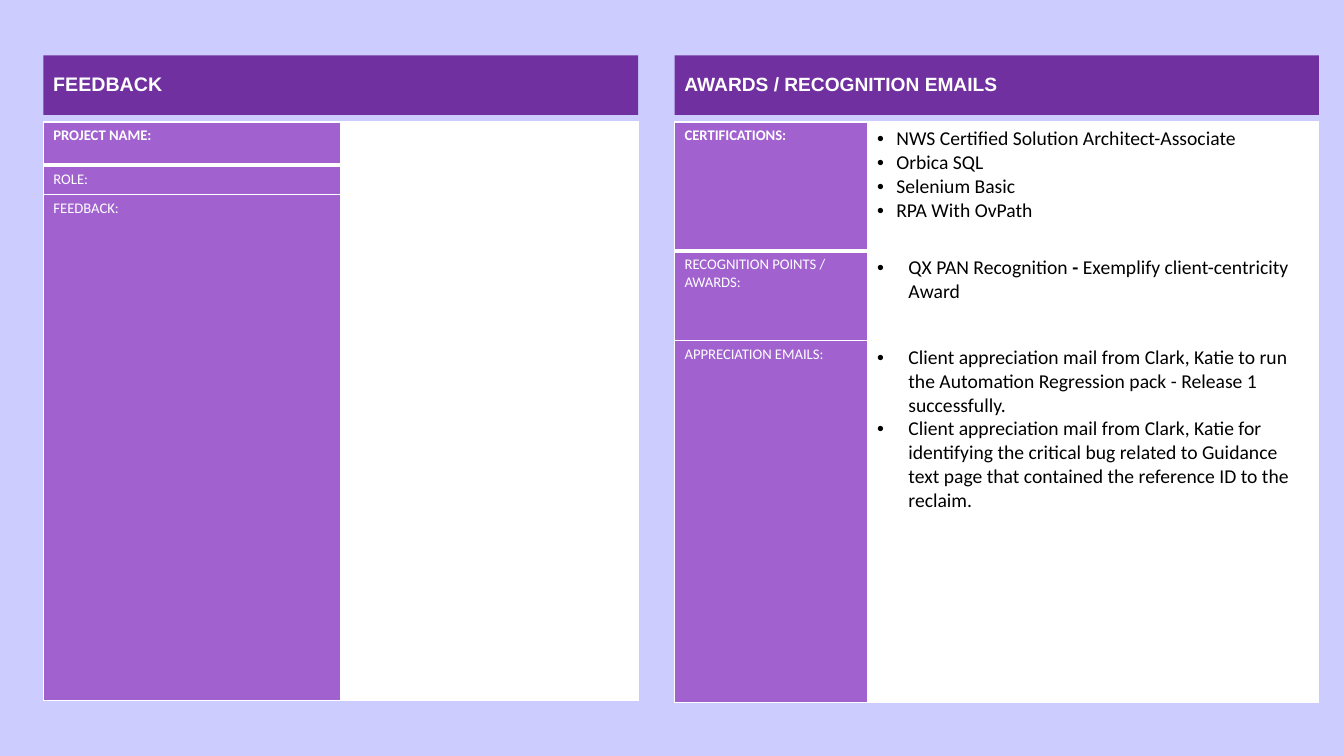
from lxml.etree import SubElement
from pptx import Presentation
from pptx.dml.color import RGBColor
from pptx.enum.shapes import MSO_SHAPE
from pptx.enum.text import MSO_ANCHOR, PP_ALIGN
from pptx.oxml.ns import qn
from pptx.util import Inches, Pt

PURPLE, VIOLET, LILAC = "7030A0", "A162D0", "CCCCFF"
WHITE, BLACK = "FFFFFF", "000000"


def paint(target, color):
    target.solid()
    target.fore_color.rgb = RGBColor.from_string(color)


def add_span(para, text, font, size, color, bold):
    span = para.add_run()
    span.text = text
    span.font.name = font
    span.font.size = Pt(size)
    span.font.bold = bold
    paint(span.font.fill, color)


panels = [
    {
        "title": "FEEDBACK", "title_size": 14, "left": 0.43,
        "columns": [2.95, 2.95],
        "rows": [
            (0.43, "PROJECT NAME:", 0, []),
            (0.29, "ROLE:", 0, []),
            (5.02, "FEEDBACK:", 0, []),
        ],
    },
    {
        "title": "AWARDS / RECOGNITION EMAILS", "title_size": 13.7, "left": 6.69,
        "columns": [1.91, 4.48],
        "rows": [
            (1.28, "CERTIFICATIONS:", 0.19, [
                [("NWS Certified Solution Architect-Associate", False)],
                [("Orbica SQL", False)],
                [("Selenium Basic", False)],
                [("RPA With OvPath", False)],
            ]),
            (0.89, "RECOGNITION POINTS / AWARDS:", 0.31, [
                [("QX PAN Recognition ", False), ("- ", True),
                 ("Exemplify client-centricity Award", False)],
            ]),
            (3.59, "APPRECIATION EMAILS:", 0.31, [
                [("Client appreciation mail from Clark, Katie to run the Automation "
                  "Regression pack - Release 1 successfully.", False)],
                [("Client appreciation mail from Clark, Katie for identifying the "
                  "critical bug related to Guidance text page that contained the "
                  "reference ID to the reclaim.", False)],
            ]),
        ],
    },
]

deck = Presentation()
deck.slide_width, deck.slide_height = Inches(13.33), Inches(7.5)
page = deck.slides.add_slide(deck.slide_layouts[6])
paint(page.background.fill, LILAC)

for panel in panels:
    left, width = Inches(panel["left"]), Inches(sum(panel["columns"]))
    banner = page.shapes.add_shape(
        MSO_SHAPE.RECTANGLE, left, Inches(0.55), width, Inches(0.59))
    banner.shadow.inherit = False
    paint(banner.fill, PURPLE)
    banner.line.fill.background()
    banner.text_frame.vertical_anchor = MSO_ANCHOR.MIDDLE
    heading = banner.text_frame.paragraphs[0]
    heading.alignment = PP_ALIGN.LEFT
    heading.line_spacing = 0.9
    add_span(heading, panel["title"], "Arial", panel["title_size"], WHITE, True)

    rows = panel["rows"]
    height = Inches(sum(row[0] for row in rows))
    table = page.shapes.add_table(
        len(rows), 2, left, Inches(1.21), width, height).table
    table.horz_banding = False
    for column, column_width in zip(table.columns, panel["columns"]):
        column.width = Inches(column_width)

    for index, (row_height, label, indent, bullets) in enumerate(rows):
        table.rows[index].height = Inches(row_height)
        label_cell, detail_cell = table.cell(index, 0), table.cell(index, 1)
        edges = {"L": 1, "R": 1, "T": 3 if index == 1 else 1, "B": 3 if index == 0 else 1}
        for cell, color in ((label_cell, VIOLET), (detail_cell, WHITE)):
            properties = cell._tc.get_or_add_tcPr()
            for side, points in edges.items():
                edge = SubElement(properties, qn(f"a:ln{side}"), w=str(Pt(points)))
                edge_fill = SubElement(edge, qn("a:solidFill"))
                SubElement(edge_fill, qn("a:srgbClr"), val=WHITE)
            paint(cell.fill, color)

        add_span(label_cell.text_frame.paragraphs[0], label,
                 "Calibri", 10.5, WHITE, index == 0)

        frame = detail_cell.text_frame
        if not bullets:
            SubElement(frame.paragraphs[0]._p, qn("a:endParaRPr"), sz="1050")
        for number, spans in enumerate(bullets):
            para = frame.add_paragraph() if number else frame.paragraphs[0]
            para_properties = para._p.get_or_add_pPr()
            para_properties.set("marL", str(Inches(indent)))
            para_properties.set("indent", str(-Inches(indent)))
            SubElement(para_properties, qn("a:buFont"), typeface="Arial")
            SubElement(para_properties, qn("a:buChar"), char="•")
            for text, bold in spans:
                add_span(para, text, "Calibri", 14, BLACK, bold)

deck.save("out.pptx")
